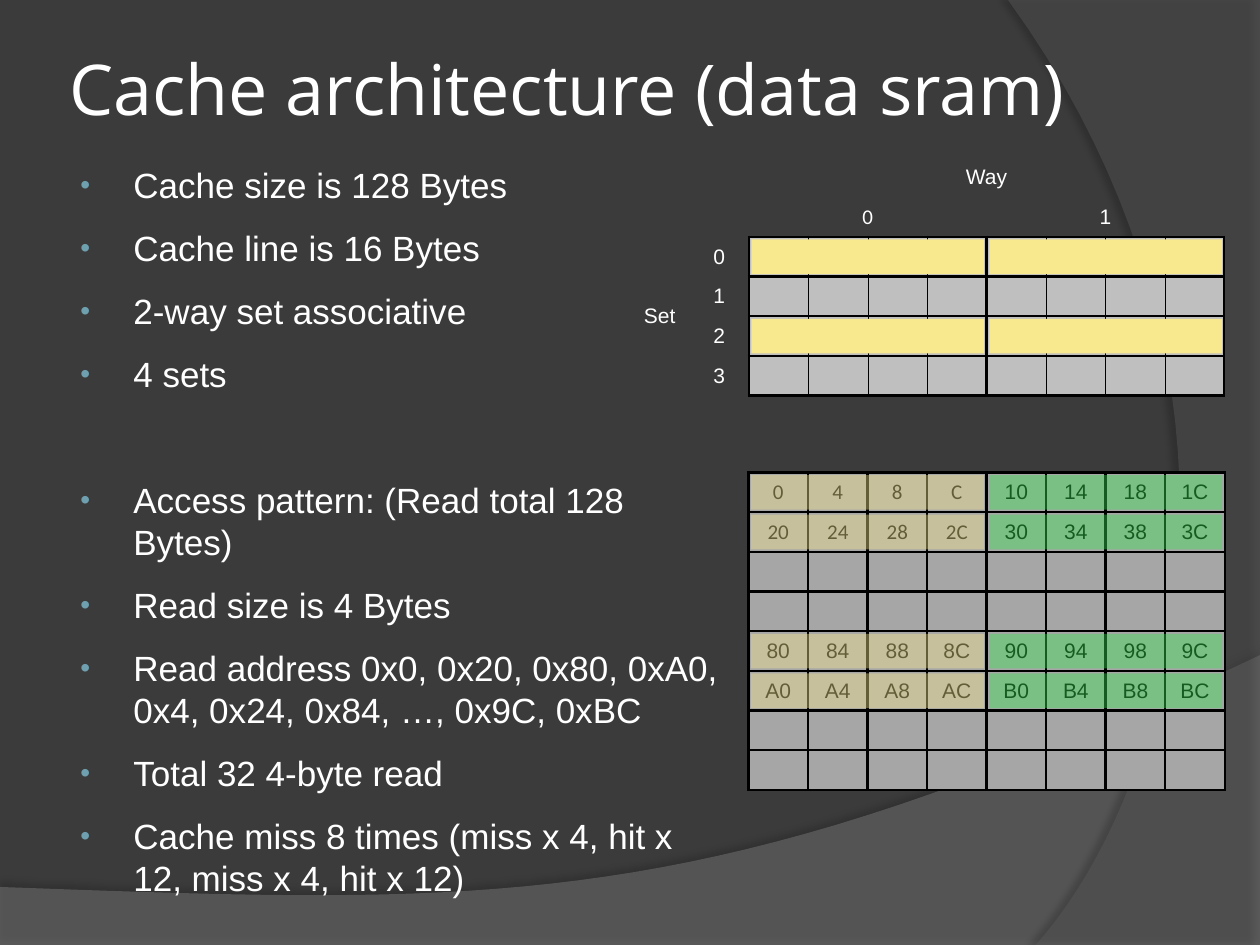
from dataclasses import dataclass

from pptx import Presentation
from pptx import util as u
from pptx.dml.color import RGBColor
from pptx.enum import shapes, text
from pptx.oxml import parse_xml
from pptx.oxml.ns import nsdecls, qn


class Theme:
    back, ink, black, bullet = "3B3B3B", "FFFFFF", "000000", "6EA0B0"
    wave, side = "7F7F7F", "5E5E5E"
    set_fill, data_fill = "BFBFBF", "A6A6A6"
    yellow, green = "F9E98E", "38E855"
    title_font, body_font, alt_font = "Open Sans", "Arial", "Calibri"
    title_size, body_size, cell_size = 40, 20, 12
    thin, thick = 0.25, 1.5
    plain_table = "{2D5ABB26-0587-4C30-8999-92F81FD0307C}"


@dataclass
class Box:
    x: float
    y: float
    w: float
    h: float

    def emu(self):
        return [u.Inches(v) for v in (self.x, self.y, self.w, self.h)]

    def area(self, col, row, cols, rows, grid):
        """Box covering cols by rows cells of a (columns, rows) grid."""
        cw, rh = self.w / grid[0], self.h / grid[1]
        return Box(self.x + col * cw, self.y + row * rh, cols * cw, rows * rh)

    def inset(self, gap):
        return Box(self.x + gap, self.y + gap, self.w - 2 * gap, self.h - 2 * gap)


def put(obj, **values):
    for name, value in values.items():
        setattr(obj, name, value)


def write(p, words, size, font, color):
    r = p.add_run()
    r.text = words
    put(r.font, size=u.Pt(size), name=font)
    r.font.color.rgb = RGBColor.from_string(color)


def paint(sp, color, alpha=100):
    sp.fill.solid()
    sp.fill.fore_color.rgb = RGBColor.from_string(color)
    sp.line.fill.background()
    sp.shadow.inherit = False
    if alpha < 100:
        clr = sp._element.spPr.find(qn("a:solidFill"))[0]
        clr.append(parse_xml(f'<a:alpha {nsdecls("a")} val="{alpha * 1000}"/>'))


def bezier(a, b, c, d, steps=40):
    for i in range(1, steps + 1):
        t = i / steps
        k = ((1 - t) ** 3, 3 * t * (1 - t) ** 2, 3 * t * t * (1 - t), t ** 3)
        yield tuple(sum(f * pt[n] for f, pt in zip(k, (a, b, c, d))) for n in (0, 1))


def curved_panel(slide, box, corners, curve, color, alpha, shadow):
    """Corners and curve are shares of the box; shadow is alpha, distance, angle."""
    x, y, w, h = box.emu()
    points = [(x + px * w, y + py * h)
              for px, py in corners + list(bezier(corners[-1], *curve))]
    builder = slide.shapes.build_freeform(*points[0], scale=1.0)
    builder.add_line_segments(points[1:], close=True)
    sp = builder.convert_to_shape()
    paint(sp, color, alpha)
    opacity, dist, angle = shadow
    sp._element.spPr.find(qn("a:effectLst")).append(parse_xml(
        f'<a:outerShdw {nsdecls("a")} blurRad="{u.Pt(4)}" dist="{u.Pt(dist)}" '
        f'dir="{angle * 60000}" rotWithShape="0"><a:srgbClr val="{Theme.black}">'
        f'<a:alpha val="{opacity * 1000}"/></a:srgbClr></a:outerShdw>'))


def backdrop(slide, page):
    slide.background.fill.solid()
    slide.background.fill.fore_color.rgb = RGBColor.from_string(Theme.back)
    curved_panel(slide, Box(0, 5.2, page.w, page.h - 5.2),
                 [(0, 0.8), (0, 1), (1, 1), (1, 0)],
                 [(0.56, 0.91), (0.39, 0.86), (0, 0.8)],
                 Theme.wave, 45, (35, 3.5, 270))
    curved_panel(slide, page.area(4, 0, 1, 1, (5, 1)),
                 [(0, 0), (1, 0), (1, 1), (0.11, 1)],
                 [(0.68, 0.83), (1.09, 0.4), (0, 0)],
                 Theme.side, 40, (45, 4, 180))


def heading(slide, box, words):
    sp = slide.shapes.title
    x, y, w, h = box.emu()
    put(sp, left=x, top=y, width=w, height=h)
    edge = u.Inches(0.05)
    put(sp.text_frame, margin_left=edge, margin_right=edge, margin_top=edge,
        margin_bottom=edge, vertical_anchor=text.MSO_ANCHOR.MIDDLE,
        auto_size=text.MSO_AUTO_SIZE.NONE, word_wrap=True)
    p = sp.text_frame.paragraphs[0]
    p.alignment = text.PP_ALIGN.LEFT
    write(p, words, Theme.title_size, Theme.title_font, Theme.ink)
    tree = slide.shapes._spTree
    tree.remove(sp._element)
    tree.append(sp._element)


def bullets(slide, box, groups):
    """Bulleted lines, with one line's gap between groups."""
    tf = slide.shapes.add_textbox(*box.emu()).text_frame
    tf.word_wrap = True
    line, gap = u.Pt(24), u.Pt(12)
    p = tf.paragraphs[0]
    for g, group in enumerate(groups):
        for i, words in enumerate(group):
            if g or i:
                p = tf.add_paragraph()
            opens_group = g > 0 and i == 0
            put(p, line_spacing=line,
                space_before=gap * 2 + line if opens_group else gap)
            pPr = p._p.get_or_add_pPr()
            pPr.set("marL", str(u.Inches(0.46)))
            pPr.set("indent", str(u.Inches(-0.42)))
            for tag in (f'buClr {nsdecls("a")}><a:srgbClr val="{Theme.bullet}"/></a:buClr',
                        f'buSzPct {nsdecls("a")} val="80000"/',
                        f'buFont {nsdecls("a")} typeface="{Theme.body_font}"/',
                        f'buChar {nsdecls("a")} char="•"/'):
                pPr.append(parse_xml(f"<a:{tag}>"))
            write(p, words, Theme.body_size, Theme.body_font, Theme.ink)


def plain_table(slide, box, cols, rows):
    frame = slide.shapes.add_table(rows, cols, *box.emu())
    table = frame.table
    put(table, first_row=False, horz_banding=False)
    table._tbl.tblPr.find(qn("a:tableStyleId")).text = Theme.plain_table
    for cell in table.iter_cells():
        put(cell, margin_left=u.Inches(0.04), margin_right=u.Inches(0.04),
            margin_top=0, margin_bottom=0, vertical_anchor=text.MSO_ANCHOR.MIDDLE)
    return table


def label(cell, words, color, font=Theme.body_font):
    p = cell.text_frame.paragraphs[0]
    p.alignment = text.PP_ALIGN.CENTER
    write(p, words, Theme.cell_size, font, color)


def box_cell(cell, color, left, right):
    widths = {"L": left, "R": right, "T": Theme.thick, "B": Theme.thick}
    tcPr = cell._tc.get_or_add_tcPr()
    for edge, width in widths.items():
        tcPr.append(parse_xml(
            f'<a:ln{edge} {nsdecls("a")} w="{u.Pt(width)}"><a:solidFill>'
            f'<a:srgbClr val="{Theme.black}"/></a:solidFill></a:ln{edge}>'))
    cell.fill.solid()
    cell.fill.fore_color.rgb = RGBColor.from_string(color)


def highlight(slide, box, color, alpha=100):
    sp = slide.shapes.add_shape(shapes.MSO_SHAPE.RECTANGLE, *box.inset(0.02).emu())
    paint(sp, color, alpha)


def set_way_table(slide, box):
    grid = (10, 6)
    table = plain_table(slide, box, *grid)
    for words, top, left, bottom, right, font in (
            ("Way", 0, 2, 0, 9, Theme.body_font), ("0", 1, 2, 1, 5, Theme.alt_font),
            ("1", 1, 6, 1, 9, Theme.body_font), ("Set", 2, 0, 5, 0, Theme.body_font)):
        table.cell(top, left).merge(table.cell(bottom, right))
        label(table.cell(top, left), words, Theme.ink, font)
    for n in range(4):
        label(table.cell(n + 2, 1), str(n), Theme.ink)
        for col in range(8):
            box_cell(table.cell(n + 2, col + 2), Theme.set_fill,
                     Theme.thin if col % 4 else Theme.thick,
                     Theme.thick if col % 4 == 3 else Theme.thin)
    for col in (2, 6):
        for row in (2, 4):
            highlight(slide, box.area(col, row, 4, 1, grid), Theme.yellow)


def address_table(slide, box):
    """Word addresses, 32 bytes a row; only the rows that are read carry text."""
    grid = (8, 8)
    read_rows = (0, 1, 4, 5)
    table = plain_table(slide, box, *grid)
    for row in range(8):
        for col in range(8):
            cell = table.cell(row, col)
            box_cell(cell, Theme.data_fill, Theme.thick, Theme.thick)
            if row in read_rows:
                font = Theme.alt_font if row < 2 and col < 4 else Theme.body_font
                label(cell, f"{row * 32 + col * 4:X}", Theme.black, font)
    for row in read_rows:
        for col, color in ((0, Theme.yellow), (4, Theme.green)):
            highlight(slide, box.area(col, row, 4, 1, grid), color, 40)


def main():
    prs = Presentation()
    page = Box(0, 0, 10, 7.5)
    put(prs, slide_width=u.Inches(page.w), slide_height=u.Inches(page.h))
    slide = prs.slides.add_slide(prs.slide_layouts[5])
    backdrop(slide, page)
    heading(slide, Box(0.5, 0.3, 9, 0.79), "Cache architecture (data sram)")
    bullets(slide, Box(0.5, 1.25, 5.39, 5.91), [
        ["Cache size is 128 Bytes", "Cache line is 16 Bytes",
         "2-way set associative", "4 sets"],
        ["Access pattern: (Read total 128 Bytes)", "Read size is 4 Bytes",
         "Read address 0x0, 0x20, 0x80, 0xA0, 0x4, 0x24, 0x84, …, 0x9C, 0xBC",
         "Total 32 4-byte read",
         "Cache miss 8 times (miss x 4, hit x 12, miss x 4, hit x 12)"]])
    set_way_table(slide, Box(5, 1.25, 4.72, 1.89))
    address_table(slide, Box(5.94, 3.75, 3.78, 2.52))
    prs.save("out.pptx")


if __name__ == "__main__":
    main()
